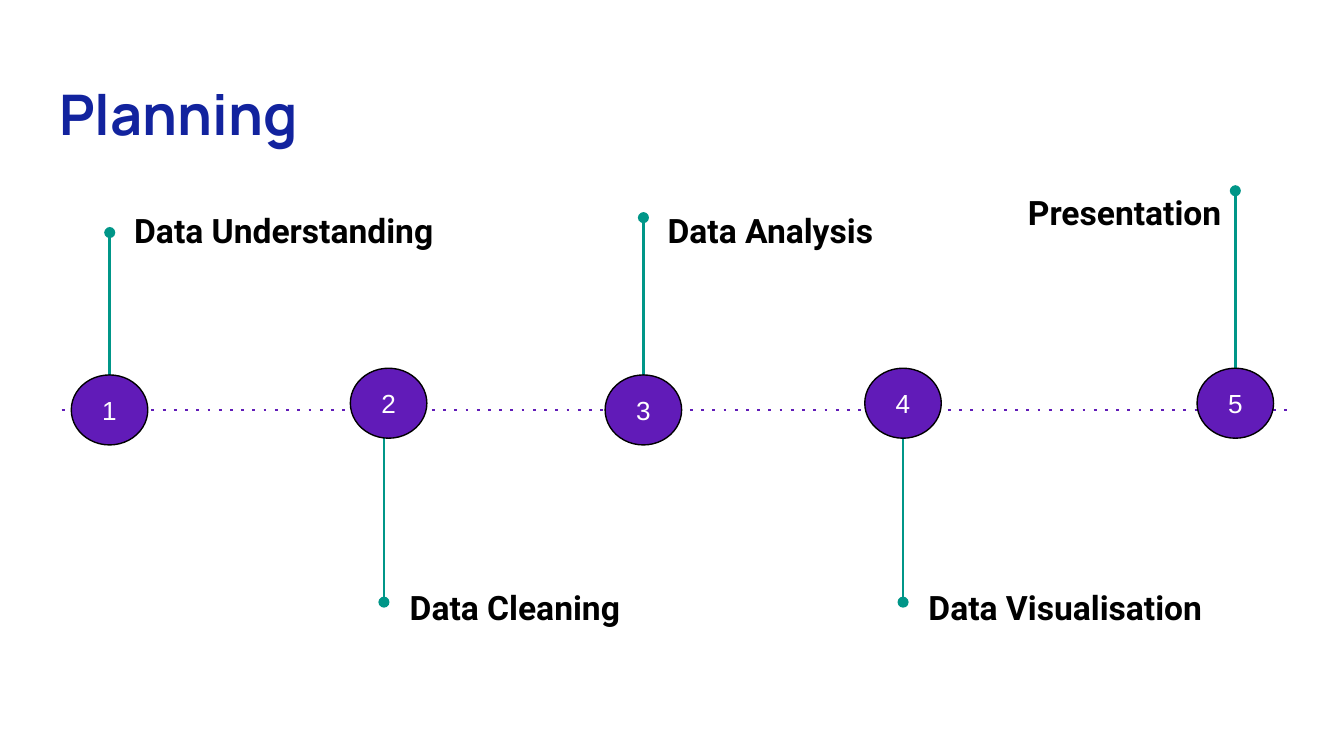
"""Build a five-step project planning timeline slide."""
from typing import NamedTuple

from lxml import etree
from pptx import Presentation
from pptx.dml.color import RGBColor
from pptx.enum.shapes import MSO_CONNECTOR, MSO_SHAPE
from pptx.enum.text import MSO_ANCHOR, MSO_AUTO_SIZE, PP_ALIGN
from pptx.oxml.ns import qn
from pptx.util import Pt

STRAIGHT = MSO_CONNECTOR.STRAIGHT
OVAL = MSO_SHAPE.OVAL
TOP, MIDDLE = MSO_ANCHOR.TOP, MSO_ANCHOR.MIDDLE
LEFT, CENTER = PP_ALIGN.LEFT, PP_ALIGN.CENTER
NO_AUTOFIT = MSO_AUTO_SIZE.NONE

NAVY = RGBColor(0x12, 0x23, 0x9E)
PURPLE = RGBColor(0x61, 0x1B, 0xB8)
TEAL = RGBColor(0x00, 0x96, 0x88)
BLACK = RGBColor(0x00, 0x00, 0x00)
WHITE = RGBColor(0xFF, 0xFF, 0xFF)

INSET = 7.2
AXIS_Y = 219.6
BADGE_W, BADGE_H = 41, 37.5
LABEL_H = 76.3


class Step(NamedTuple):
    name: str
    badge_x: float
    badge_y: float
    stem_x: float
    stem_start: float
    stem_end: float
    label_x: float
    label_y: float
    label_w: float = 209.5


STEPS = [
    Step("Data Understanding", 58.7, 219.6, 58.8, 211.7, 124.6, 64.8, 102.2),
    Step("Data Cleaning", 208.2, 216, 205.7, 227.5, 322.6, 212.4, 303.8),
    Step("Data Analysis", 344.7, 219.6, 344.7, 211.7, 116.6, 350.6, 102.2),
    Step("Data Visualisation", 483.8, 216, 483.8, 227.5, 322.6, 490.3, 303.8),
    Step("Presentation", 661.8, 216, 661.8, 197.3, 102.2, 543.6, 92.2, 168.5),
]


def write(sp, text: str, font: str, size: float, color: RGBColor,
          bold=False, align=LEFT, anchor=TOP, spacing=1.0) -> None:
    """Fill a shape with one formatted run."""
    tf = sp.text_frame
    tf.word_wrap = True
    tf.auto_size = NO_AUTOFIT
    tf.vertical_anchor = anchor
    tf.margin_left = tf.margin_right = Pt(INSET)
    tf.margin_top = tf.margin_bottom = Pt(INSET)
    p = tf.paragraphs[0]
    p.alignment = align
    p.line_spacing = spacing
    r = p.add_run()
    r.text = text
    r.font.name = font
    r.font.size = Pt(size)
    r.font.bold = bold
    r.font.color.rgb = color


def add_line(s, x1: float, y1: float, x2: float, y2: float,
             color: RGBColor, tag: str, **attrs: str) -> None:
    """Draw a connector with one extra line property."""
    sp = s.shapes.add_connector(STRAIGHT, Pt(x1), Pt(y1), Pt(x2), Pt(y2))
    sp.line.color.rgb = color
    sp.line.width = Pt(1.5)
    ln = sp.line._get_or_add_ln()
    etree.SubElement(ln, qn(tag), attrs)
    etree.SubElement(ln.getparent(), qn("a:effectLst"))


def add_stem(s, step: Step) -> None:
    """Draw the line from a badge to its round end."""
    add_line(s, step.stem_x, step.stem_start, step.stem_x, step.stem_end,
             TEAL, "a:tailEnd", type="oval")


def add_label(s, step: Step) -> None:
    """Write the name of a step beside its stem."""
    sp = s.shapes.add_textbox(Pt(step.label_x), Pt(step.label_y),
                              Pt(step.label_w), Pt(LABEL_H))
    write(sp, step.name, "Roboto", 18, BLACK, bold=True, spacing=1.15)


def add_badge(s, step: Step, number: int) -> None:
    """Draw the numbered badge of a step."""
    sp = s.shapes.add_shape(OVAL, Pt(step.badge_x - BADGE_W / 2),
                            Pt(step.badge_y - BADGE_H / 2),
                            Pt(BADGE_W), Pt(BADGE_H))
    sp.shadow.inherit = False
    sp.fill.solid()
    sp.fill.fore_color.rgb = PURPLE
    sp.line.color.rgb = BLACK
    sp.line.width = Pt(0.75)
    write(sp, str(number), "Arial", 14, WHITE, align=CENTER, anchor=MIDDLE)


def main() -> None:
    """Assemble and save the slide."""
    prs = Presentation()
    prs.slide_width, prs.slide_height = Pt(720), Pt(405)
    s = prs.slides.add_slide(prs.slide_layouts[5])
    title = s.shapes.title
    title.left, title.top = Pt(24.5), Pt(35.3)
    title.width, title.height = Pt(671), Pt(49)
    write(title, "Planning", "Manrope", 30, NAVY, bold=True)
    add_line(s, 33.1, AXIS_Y, 689.8, AXIS_Y, PURPLE, "a:prstDash", val="dot")
    for number, step in enumerate(STEPS, 1):
        add_stem(s, step)
        add_label(s, step)
        add_badge(s, step, number)
    prs.save("out.pptx")


if __name__ == "__main__":
    main()
